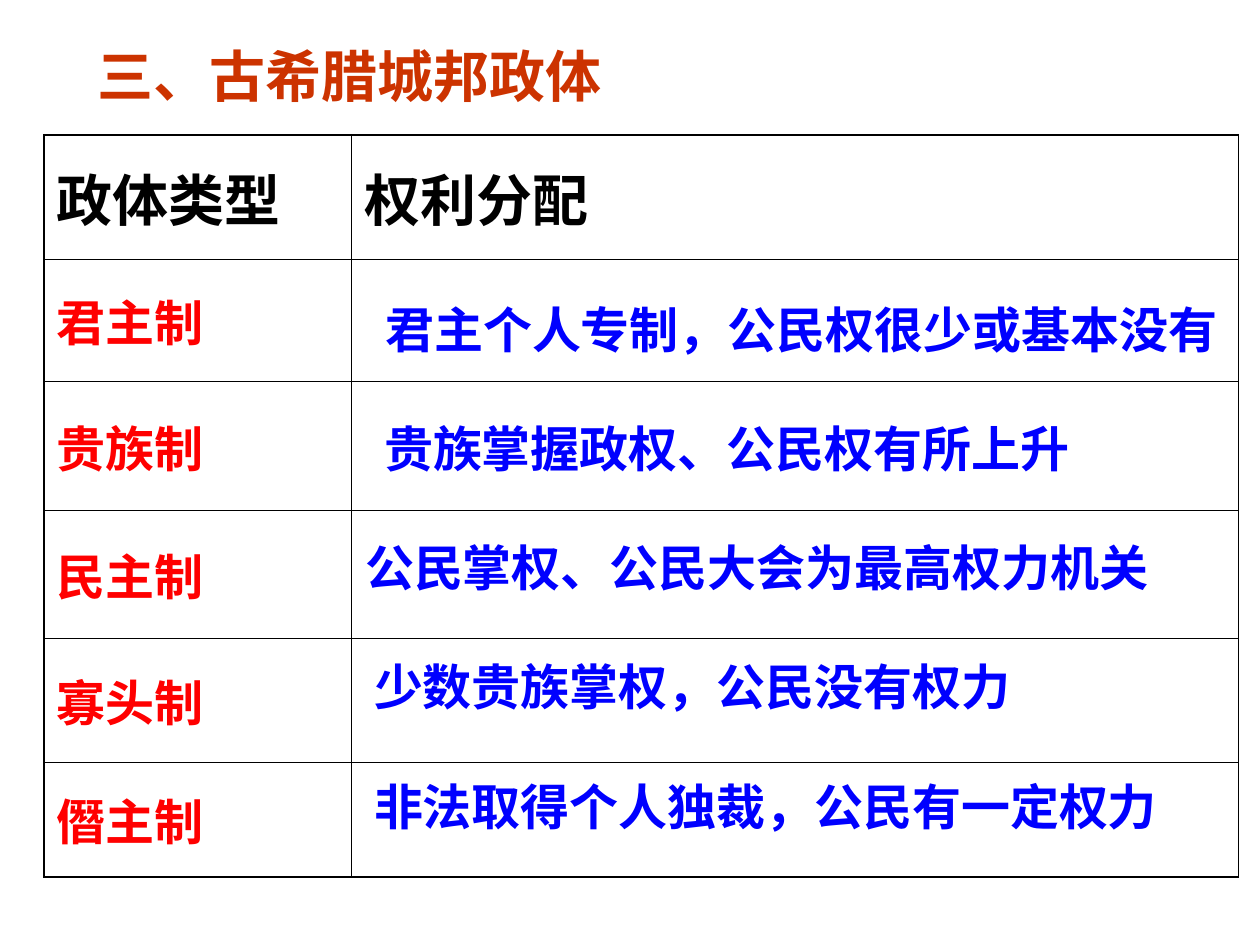
"""Build a slide with a table of the forms of government in Greek city-states."""
from lxml import etree
from pptx import Presentation
from pptx.dml.color import RGBColor
from pptx.enum.text import MSO_ANCHOR, MSO_AUTO_SIZE, PP_ALIGN
from pptx.oxml.ns import qn
from pptx.util import Inches, Pt

LEFT = PP_ALIGN.LEFT
TOP, MIDDLE = MSO_ANCHOR.TOP, MSO_ANCHOR.MIDDLE
NO_AUTOFIT, GROW = MSO_AUTO_SIZE.NONE, MSO_AUTO_SIZE.SHAPE_TO_FIT_TEXT
COLORS = {"title": "CC3300", "header": "000000", "type": "FF0000",
          "rights": "0000FF", "border": "000000"}
THICK, THIN = 1.08, 0.45


def write(text_frame, text, size, color, font_name="Times New Roman"):
    text_frame.text = text
    paragraph = text_frame.paragraphs[0]
    paragraph.alignment = LEFT
    paragraph.font.name = font_name
    paragraph.font.size = Pt(size)
    paragraph.font.bold = True
    paragraph.font.color.rgb = RGBColor.from_string(COLORS[color])


def add_border(cell, side, width):
    line = etree.SubElement(cell._tc.get_or_add_tcPr(), qn(f"a:ln{side}"), w=str(Pt(width)))
    fill = etree.SubElement(line, qn("a:solidFill"))
    etree.SubElement(fill, qn("a:srgbClr"), val=COLORS["border"])


presentation = Presentation()
presentation.slide_width = Inches(10)
presentation.slide_height = Inches(7.5)
slide = presentation.slides.add_slide(presentation.slide_layouts[5])

title = slide.shapes.title
title.left, title.top = Inches(0.67), Inches(0.28)
title.width, title.height = Inches(8.82), Inches(0.64)
title.text_frame.vertical_anchor = TOP
title.text_frame.auto_size = NO_AUTOFIT
write(title.text_frame, "三、古希腊城邦政体", 32, "title", "Arial")

headers = ["政体类型", "权利分配"]
government_types = ["君主制", "贵族制", "民主制", "寡头制", "僭主制"]
column_widths = [2.44, 7.04]
row_heights = [0.99, 0.97, 1.02, 1.02, 0.98, 0.91]
last_row, last_column = len(row_heights) - 1, len(column_widths) - 1

table = slide.shapes.add_table(
    len(row_heights), len(column_widths), Inches(0.35), Inches(1.07),
    Inches(sum(column_widths)), Inches(sum(row_heights))).table
table.horz_banding = False
for column, width in zip(table.columns, column_widths):
    column.width = Inches(width)
for row, height in zip(table.rows, row_heights):
    row.height = Inches(height)

for row_index in range(len(row_heights)):
    for column_index in range(len(column_widths)):
        cell = table.cell(row_index, column_index)
        outer_sides = {"L": column_index == 0, "R": column_index == last_column,
                       "T": row_index == 0, "B": row_index == last_row}
        for side, is_outer in outer_sides.items():
            add_border(cell, side, THICK if is_outer else THIN)
        cell.fill.background()
        cell.vertical_anchor = MIDDLE

for column_index, header in enumerate(headers):
    write(table.cell(0, column_index).text_frame, header, 32, "header")
for row_index, government_type in enumerate(government_types, start=1):
    write(table.cell(row_index, 0).text_frame, government_type, 28, "type")

rights = [
    (2.96, 7.04, "君主个人专制，公民权很少或基本没有"),
    (2.95, 6.22, "贵族掌握政权、公民权有所上升"),
    (2.8, 6.77, "公民掌权、公民大会为最高权力机关"),
    (2.87, 5.59, "少数贵族掌权，公民没有权力"),
    (2.87, 6.69, "非法取得个人独裁，公民有一定权力"),
]
for index, (left, width, text) in enumerate(rights):
    text_box = slide.shapes.add_textbox(
        Inches(left), Inches(2.33 + 0.945 * index), Inches(width), Inches(0.57))
    text_box.text_frame.word_wrap = True
    text_box.text_frame.auto_size = GROW
    write(text_box.text_frame, text, 28, "rights")

presentation.save("out.pptx")
